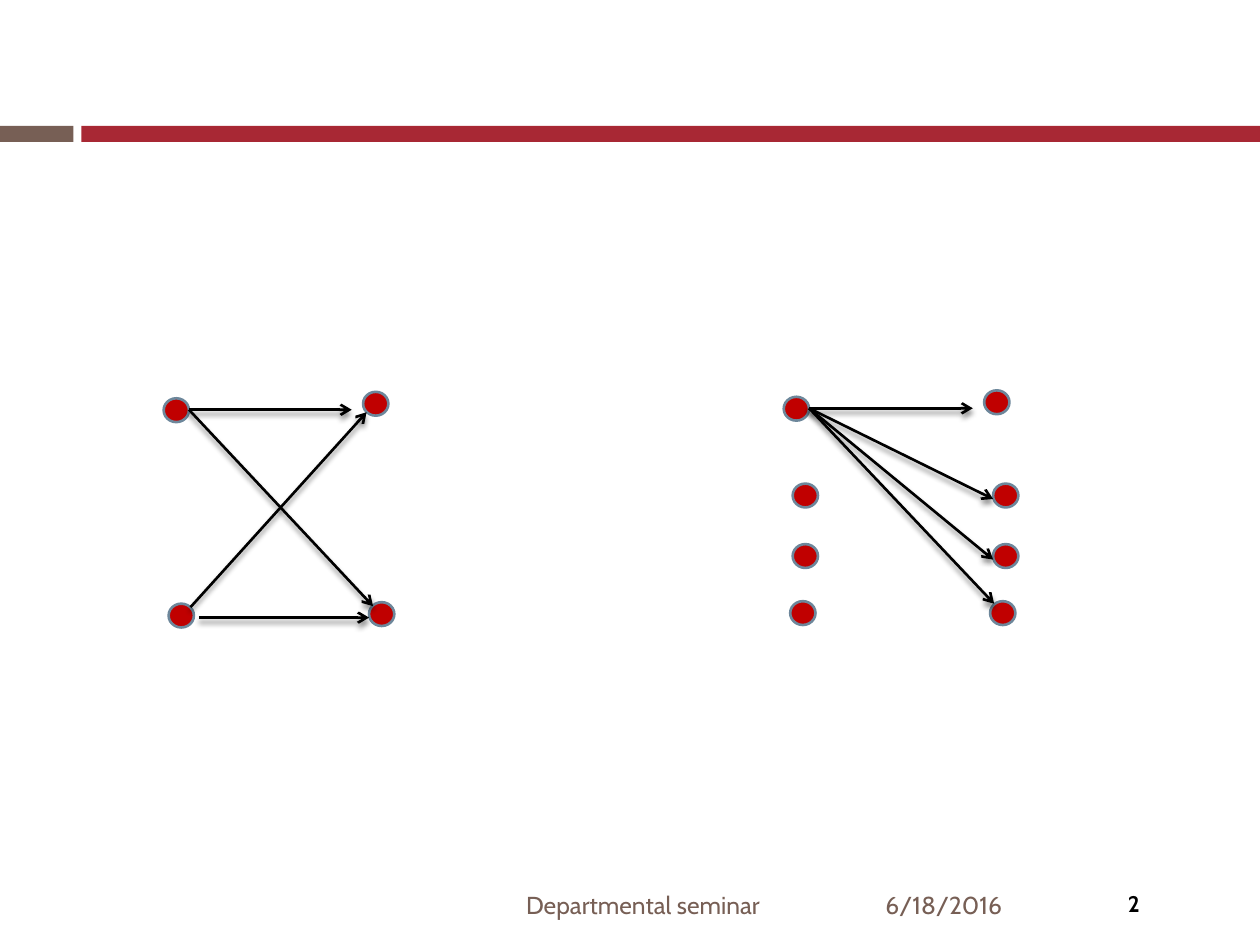
from lxml import etree
from pptx import Presentation
from pptx.dml.color import RGBColor
from pptx.enum.shapes import MSO_CONNECTOR, MSO_SHAPE
from pptx.enum.text import MSO_ANCHOR, PP_ALIGN
from pptx.oxml.ns import qn
from pptx.util import Cm, Pt

RECTANGLE = MSO_SHAPE.RECTANGLE
OVAL = MSO_SHAPE.OVAL
STRAIGHT = MSO_CONNECTOR.STRAIGHT
MIDDLE = MSO_ANCHOR.MIDDLE
LEFT, CENTER, RIGHT = PP_ALIGN.LEFT, PP_ALIGN.CENTER, PP_ALIGN.RIGHT

BROWN = RGBColor(0x77, 0x5F, 0x55)
CRIMSON = RGBColor(0xA8, 0x28, 0x34)
RED = RGBColor(0xC0, 0x00, 0x00)
STEEL = RGBColor(0x6D, 0x87, 0x9B)
BLACK = RGBColor(0x00, 0x00, 0x00)

NODE_WIDTH, NODE_HEIGHT = 0.51, 0.48

TWO_BY_TWO_NODES = [(3.3, 8.03), (3.4, 12.17), (7.32, 7.9), (7.44, 12.14)]
TWO_BY_TWO_ARROWS = [
    ((3.81, 8.26), (7.09, 8.26)),
    ((3.81, 8.26), (7.52, 12.22)),
    ((4.01, 12.45), (7.44, 12.45)),
    ((3.84, 12.24), (7.39, 8.31)),
]
FOUR_BY_FOUR_NODES = [
    (15.8, 8), (15.98, 9.75), (15.98, 10.97), (15.93, 12.12),
    (19.84, 7.87), (20.02, 9.75), (20.02, 10.97), (19.96, 12.12),
]
FAN_START = (16.31, 8.23)
FAN_ENDS = [(19.61, 8.23), (20.02, 10.06), (20.02, 11.28), (20.04, 12.17)]


class SlideBuilder:
    font_name = "Cabin"
    line_width = Pt(1.5)

    def __init__(self, slide):
        self.slide = slide

    def shape(self, kind, left, top, width, height, fill):
        shape = self.slide.shapes.add_shape(
            kind, Cm(left), Cm(top), Cm(width), Cm(height))
        shape.shadow.inherit = False
        shape.fill.solid()
        shape.fill.fore_color.rgb = fill
        return shape

    def bar(self, left, width, fill):
        bar = self.shape(RECTANGLE, left, 2.54, width, 0.32, fill)
        bar.line.fill.background()

    def node(self, left, top):
        node = self.shape(OVAL, left, top, NODE_WIDTH, NODE_HEIGHT, RED)
        node.line.color.rgb = STEEL
        node.line.width = self.line_width

    def arrow(self, start, end):
        points = [Cm(value) for value in (*start, *end)]
        connector = self.slide.shapes.add_connector(STRAIGHT, *points)
        connector.line.color.rgb = BLACK
        connector.line.width = self.line_width
        properties = connector.element.spPr
        line = properties.find(qn("a:ln"))
        etree.SubElement(line, qn("a:tailEnd"), type="arrow")
        effects = etree.SubElement(properties, qn("a:effectLst"))
        shadow = etree.SubElement(
            effects, qn("a:outerShdw"), blurRad=str(Pt(3)),
            dist=str(Pt(2.4)), dir="5400000", rotWithShape="0")
        color = etree.SubElement(shadow, qn("a:srgbClr"), val=str(BLACK))
        etree.SubElement(color, qn("a:alpha"), val="45000")

    def text(self, text, left, top, width, height, size, color,
             alignment=LEFT, bold=False):
        box = self.slide.shapes.add_textbox(
            Cm(left), Cm(top), Cm(width), Cm(height))
        frame = box.text_frame
        frame.word_wrap = True
        frame.vertical_anchor = MIDDLE
        paragraph = frame.paragraphs[0]
        paragraph.alignment = alignment
        run = paragraph.add_run()
        run.text = text
        run.font.name = self.font_name
        run.font.size = Pt(size)
        run.font.bold = bold
        run.font.color.rgb = color


def main():
    presentation = Presentation()
    presentation.slide_width = Cm(25.4)
    presentation.slide_height = Cm(19.05)
    slide = presentation.slides.add_slide(presentation.slide_layouts[6])
    builder = SlideBuilder(slide)

    builder.bar(0, 1.48, BROWN)
    builder.bar(1.64, 23.76, CRIMSON)

    builder.text("6/18/2016", 17.6, 17.83, 3.68, 0.81, 14, BROWN)
    builder.text("Departmental seminar", 0.51, 17.83, 15.06, 0.81, 14, BROWN,
                 RIGHT)
    builder.text("2", 22.12, 17.86, 1.48, 0.71, 12.9, BLACK, CENTER, True)

    for left, top in TWO_BY_TWO_NODES + FOUR_BY_FOUR_NODES:
        builder.node(left, top)
    for start, end in TWO_BY_TWO_ARROWS:
        builder.arrow(start, end)
    for end in FAN_ENDS:
        builder.arrow(FAN_START, end)

    presentation.save("out.pptx")


if __name__ == "__main__":
    main()
